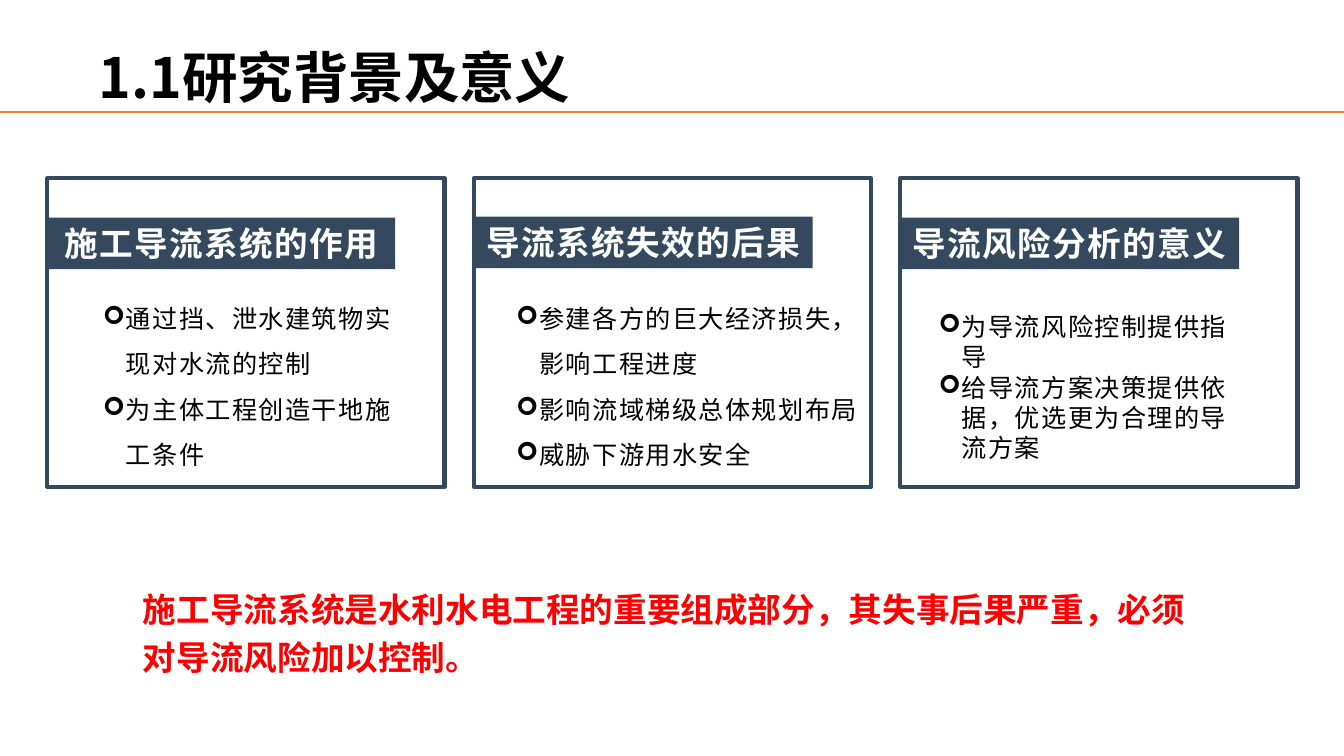
from lxml.etree import SubElement
from pptx import Presentation
from pptx.dml.color import RGBColor
from pptx.enum.shapes import MSO_CONNECTOR, MSO_SHAPE
from pptx.enum.text import MSO_ANCHOR, PP_ALIGN
from pptx.oxml.ns import qn
from pptx.util import Inches, Pt

# Content
TITLE = "1.1研究背景及意义"
CONCLUSION = "施工导流系统是水利水电工程的重要组成部分，其失事后果严重，必须对导流风险加以控制。"
# Offsets inside each card, in inches: banner (left, top, width), list (left, top, width)
CARDS = [
    {"heading": "施工导流系统的作用", "spacing": 1.5,
     "banner": (0, 0.39, 3.45), "list": (0.48, 1.05, 3.16),
     "points": ["通过挡、泄水建筑物实现对水流的控制", "为主体工程创造干地施工条件"]},
    {"heading": "导流系统失效的后果", "spacing": 1.5,
     "banner": (0, 0.38, 3.36), "list": (0.35, 1.05, 3.59),
     "points": ["参建各方的巨大经济损失，影响工程进度", "影响流域梯级总体规划布局", "威胁下游用水安全"]},
    {"heading": "导流风险分析的意义", "spacing": 1.0,
     "banner": (0, 0.39, 3.36), "list": (0.31, 1.28, 3.14),
     "points": ["为导流风险控制提供指导", "给导流方案决策提供依据，优选更为合理的导流方案"]},
]

# Theme
CJK = "Noto Sans CJK SC"
THEME = {
    "navy": RGBColor(0x34, 0x49, 0x5E),
    "orange": RGBColor(0xED, 0x7D, 0x31),
    "title": {"size": Pt(39.6), "name": CJK, "bold": True, "color": RGBColor(0, 0, 0)},
    "heading": {"size": Pt(24), "name": CJK, "bold": True, "color": RGBColor(255, 255, 255)},
    "point": {"size": Pt(18), "name": CJK, "bold": False, "color": RGBColor(0, 0, 0)},
    "conclusion": {"size": Pt(24), "name": "Arial", "bold": True, "color": RGBColor(255, 0, 0)},
}

# Grid, in inches
WIDTH, HEIGHT = 13.33, 7.5
CARD_LEFT, CARD_TOP, CARD_WIDTH, CARD_HEIGHT, CARD_STEP = 0.47, 1.77, 3.94, 3.06, 4.23
BANNER_HEIGHT, LIST_HEIGHT, INDENT = 0.51, 1.84, 0.23
RULE_TOP = 1.11


def inches(*lengths):
    return [Inches(length) for length in lengths]


def write(para, text, style, tracking=0):
    span = para.add_run()
    span.text = text
    for name, value in THEME[style].items():
        if name == "color":
            span.font.color.rgb = value
        else:
            setattr(span.font, name, value)
    properties = span.font._element
    SubElement(properties, qn("a:ea")).set("typeface", CJK)
    if tracking:
        properties.set("spc", str(tracking))


def add_bullet(para):
    properties = para._p.get_or_add_pPr()
    properties.set("marL", str(Inches(INDENT)))
    properties.set("indent", str(-Inches(INDENT)))
    SubElement(properties, qn("a:buFont")).set("typeface", "Wingdings")
    SubElement(properties, qn("a:buChar")).set("char", "➢")


def add_rectangle(shapes, left, top, width, height):
    box = shapes.add_shape(MSO_SHAPE.RECTANGLE, *inches(left, top, width, height))
    box.shadow.inherit = False
    return box


def add_card(page, card, left):
    shapes = page.shapes.add_group_shape().shapes

    # Heading banner
    shift, drop, width = card["banner"]
    banner = add_rectangle(shapes, left + shift, CARD_TOP + drop, width, BANNER_HEIGHT)
    banner.fill.solid()
    banner.fill.fore_color.rgb = THEME["navy"]
    banner.line.fill.background()
    banner.text_frame.word_wrap = False
    para = banner.text_frame.paragraphs[0]
    para.alignment = PP_ALIGN.CENTER
    write(para, card["heading"], "heading", 100)

    # Bulleted points
    shift, drop, width = card["list"]
    frame = shapes.add_textbox(*inches(left + shift, CARD_TOP + drop, width, LIST_HEIGHT)).text_frame
    insets = {"margin_left": 0.07, "margin_right": 0.07, "margin_top": 0.04, "margin_bottom": 0.04}
    for name, value in insets.items():
        setattr(frame, name, Inches(value))
    frame.word_wrap = True
    for index, point in enumerate(card["points"]):
        para = frame.add_paragraph() if index else frame.paragraphs[0]
        add_bullet(para)
        para.line_spacing = card["spacing"]
        write(para, point, "point", 100)

    # Outline
    outline = add_rectangle(shapes, left, CARD_TOP, CARD_WIDTH, CARD_HEIGHT)
    outline.fill.background()
    outline.line.color.rgb = THEME["navy"]
    outline.line.width = Pt(3)


def main():
    deck = Presentation()
    deck.slide_width, deck.slide_height = inches(WIDTH, HEIGHT)
    page = deck.slides.add_slide(deck.slide_layouts[5])

    # Title and rule
    title = page.shapes.title
    title.left, title.top, title.width, title.height = inches(0.88, 0.43, 9.81, 0.73)
    title.text_frame.vertical_anchor = MSO_ANCHOR.MIDDLE
    para = title.text_frame.paragraphs[0]
    para.alignment = PP_ALIGN.LEFT
    para.line_spacing = 0.9
    write(para, TITLE, "title")
    rule = page.shapes.add_connector(MSO_CONNECTOR.STRAIGHT, *inches(0, RULE_TOP, WIDTH, RULE_TOP))
    rule.line.color.rgb = THEME["orange"]
    rule.line.width = Pt(1)
    SubElement(rule._element.spPr, qn("a:effectLst"))

    # Conclusion
    frame = page.shapes.add_textbox(*inches(1.32, 5.71, 10.7, 1.03)).text_frame
    frame.word_wrap = True
    para = frame.paragraphs[0]
    para.line_spacing = 1.2
    write(para, CONCLUSION, "conclusion")

    # Three cards
    for column, card in enumerate(CARDS):
        add_card(page, card, CARD_LEFT + column * CARD_STEP)

    deck.save("out.pptx")


if __name__ == "__main__":
    main()
